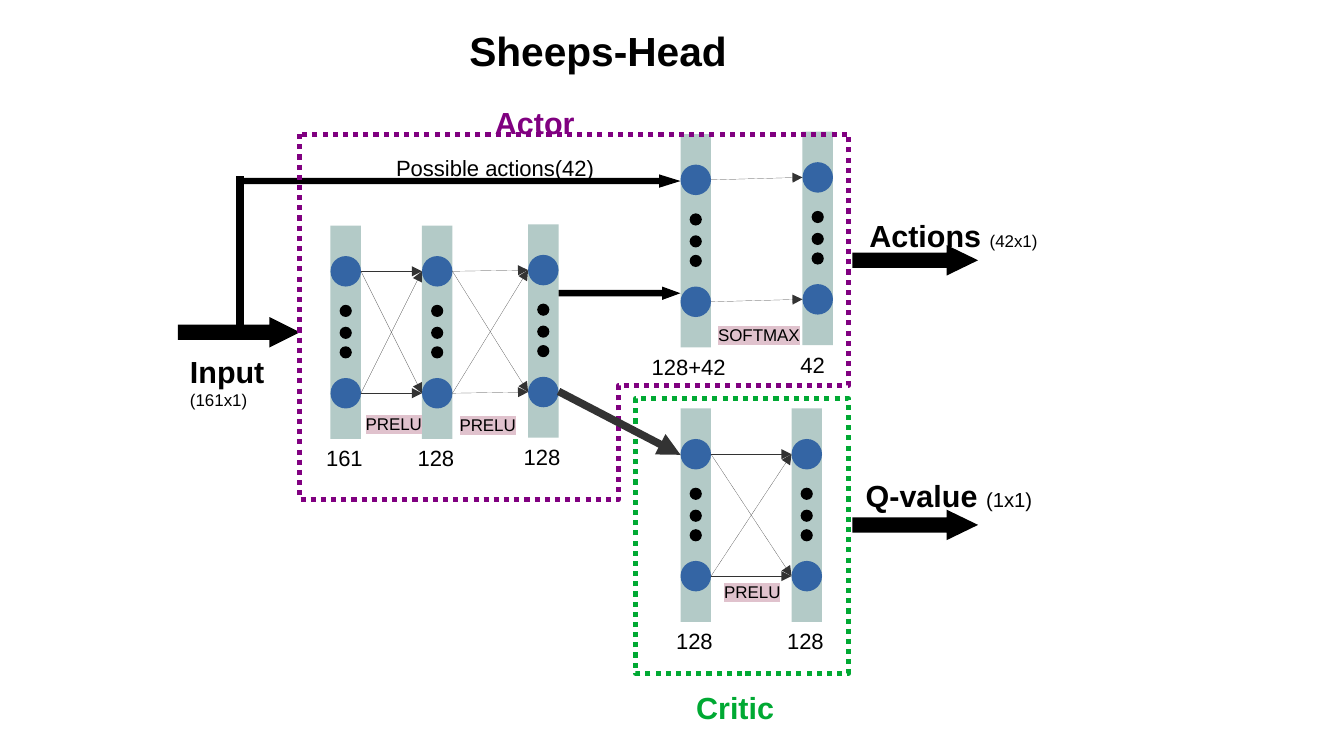
from pptx import Presentation
from pptx.dml.color import RGBColor
from pptx.enum.dml import MSO_LINE
from pptx.enum.shapes import MSO_CONNECTOR, MSO_SHAPE
from pptx.enum.text import MSO_AUTO_SIZE
from pptx.oxml.ns import qn
from pptx.util import Inches, Pt
from lxml.etree import SubElement

FONT = "Arial"
BLACK = RGBColor(0x00, 0x00, 0x00)
WHITE = RGBColor(0xFF, 0xFF, 0xFF)
GRAY = RGBColor(0x33, 0x33, 0x33)
LAYER_GREEN = RGBColor(0xB3, 0xCA, 0xC7)
NODE_BLUE = RGBColor(0x34, 0x65, 0xA4)
ACTOR_PURPLE = RGBColor(0x80, 0x00, 0x80)
CRITIC_GREEN = RGBColor(0x00, 0xA9, 0x33)
ACTIVATION_PINK = RGBColor(0xE0, 0xC2, 0xCD)

LAYER_W, LAYER_H = 0.25, 1.75
NODE_TOPS = (0.25, 1.25)
DOT_TOPS = (0.65, 0.83, 0.99)
DOT = 0.1
HAIRLINE = 0.01


# Basic parts
def add_solid(slide, kind, left, top, width, height, color):
    solid = slide.shapes.add_shape(
        kind, Inches(left), Inches(top), Inches(width), Inches(height))
    solid.shadow.inherit = False
    solid.fill.solid()
    solid.fill.fore_color.rgb = color
    solid.line.fill.background()
    return solid


def add_block_arrow(slide, left, top, width, height, shaft, head):
    arrow = add_solid(slide, MSO_SHAPE.RIGHT_ARROW, left, top, width, height, BLACK)
    arrow.adjustments[0] = shaft
    arrow.adjustments[1] = head


def add_line(slide, start, end, color=GRAY, width=HAIRLINE, arrowhead=True):
    line = slide.shapes.add_connector(
        MSO_CONNECTOR.STRAIGHT, *(Inches(v) for v in (*start, *end)))
    line.line.color.rgb = color
    line.line.width = Pt(width)
    if arrowhead:
        SubElement(line.line._get_or_add_ln(), qn("a:tailEnd"), type="triangle")
    SubElement(line._element.spPr, qn("a:effectLst"))


def add_dotted_outline(frame, color):
    frame.shadow.inherit = False
    frame.line.color.rgb = color
    frame.line.width = Pt(3)
    frame.line.dash_style = MSO_LINE.ROUND_DOT


def style_font(font, size, color, bold):
    font.name = FONT
    font.size = Pt(size)
    font.bold = bold
    font.color.rgb = color


def add_text_frame(slide, left, top, width, height, wrap=True):
    box = slide.shapes.add_textbox(
        Inches(left), Inches(top), Inches(width), Inches(height))
    box.text_frame.word_wrap = wrap
    box.text_frame.auto_size = MSO_AUTO_SIZE.SHAPE_TO_FIT_TEXT
    return box.text_frame


def add_label(slide, text, left, top, width, height, size, color=BLACK,
              bold=False, wrap=True):
    paragraph = add_text_frame(slide, left, top, width, height, wrap).paragraphs[0]
    paragraph.text = text
    style_font(paragraph.font, size, color, bold)
    return paragraph


def add_activation(slide, text, left, top, width=0.66):
    paragraph = add_label(slide, text, left, top, width, 0.25, 10, wrap=False)
    highlight = SubElement(paragraph.runs[0]._r.get_or_add_rPr(), qn("a:highlight"))
    SubElement(highlight, qn("a:srgbClr"), val=str(ACTIVATION_PINK))


# Network layers and the links between them
def add_layer(slide, left, top, units, label_width=0.52):
    add_solid(slide, MSO_SHAPE.RECTANGLE, left, top, LAYER_W, LAYER_H, LAYER_GREEN)
    for node_top in NODE_TOPS:
        add_solid(slide, MSO_SHAPE.OVAL, left, top + node_top,
                  LAYER_W, LAYER_W, NODE_BLUE)
    for dot_top in DOT_TOPS:
        add_solid(slide, MSO_SHAPE.OVAL, left + (LAYER_W - DOT) / 2,
                  top + dot_top, DOT, DOT, BLACK)
    label_left = left + (LAYER_W - label_width) / 2
    add_label(slide, units, label_left, top + LAYER_H,
              label_width, 0.3, 13, wrap=False)
    return left, top


def link_layers(slide, source, target, crossed=True):
    for i, source_node in enumerate(NODE_TOPS):
        for j, target_node in enumerate(NODE_TOPS):
            if crossed or i == j:
                add_line(slide,
                         (source[0] + LAYER_W, source[1] + source_node + LAYER_W / 2),
                         (target[0], target[1] + target_node + LAYER_W / 2))


# Regions
def add_critic(slide, left, top, width, height):
    frame = add_solid(slide, MSO_SHAPE.RECTANGLE, left, top, width, height, WHITE)
    add_dotted_outline(frame, CRITIC_GREEN)
    hidden = add_layer(slide, left + 0.37, top + 0.08, "128")
    value = add_layer(slide, left + 1.28, top + 0.08, "128")
    link_layers(slide, hidden, value)
    add_activation(slide, "PRELU", left + 0.63, top + 1.45)
    add_label(slide, "Critic", left + 0.4, top + 2.33, 1.35, 0.38, 18,
              CRITIC_GREEN, bold=True)


def add_input(slide, left, top):
    add_block_arrow(slide, left, top, 1, 0.25, 0.5, 1)
    caption = add_text_frame(slide, left, top + 0.25, 1, 0.94)
    caption.text = "Input\n(161x1)"
    for paragraph, size, bold in zip(caption.paragraphs, (18, 10), (True, False)):
        style_font(paragraph.font, size, BLACK, bold)
    # Possible actions bypass the hidden layers
    add_line(slide, (left + 0.51, top + 0.09), (left + 0.51, top - 1.16),
             BLACK, 4.5, arrowhead=False)
    add_block_arrow(slide, left + 0.5, top - 1.17, 3.62, 0.11, 0.46, 1.6)
    add_label(slide, "Possible actions(42)", left + 1.69, top - 1.38, 2, 0.5, 13)


def add_actor(slide, left, top, width, height):
    # Shared hidden layers
    first = add_layer(slide, left + 0.25, top + 0.75, "161")
    second = add_layer(slide, left + 1, top + 0.75, "128")
    third = add_layer(slide, left + 1.87, top + 0.74, "128")
    link_layers(slide, first, second)
    link_layers(slide, second, third)
    add_activation(slide, "PRELU", left + 0.44, top + 2.24)
    add_activation(slide, "PRELU", left + 1.21, top + 2.25)

    # Action head
    joined = add_layer(slide, left + 3.12, top, "128+42", 0.92)
    actions = add_layer(slide, left + 4.12, top - 0.02, "42", 0.48)
    link_layers(slide, joined, actions, crossed=False)
    add_activation(slide, "SOFTMAX", left + 3.33, top + 1.51, 0.87)
    add_block_arrow(slide, left + 2.12, top + 1.25, 1, 0.11, 0.49, 1.37)

    # Stepped outline
    step_x, step_y = left + 2.61, top + 2.06
    right, bottom = left + width, top + height
    corners = [(left, bottom), (step_x, bottom), (step_x, step_y),
               (right, step_y), (right, top)]
    outline = slide.shapes.build_freeform(Inches(left), Inches(top))
    outline.add_line_segments([(Inches(x), Inches(y)) for x, y in corners], close=True)
    frame = outline.convert_to_shape()
    frame.fill.background()
    add_dotted_outline(frame, ACTOR_PURPLE)
    add_label(slide, "Actor", left + 1.5, top - 0.3, 1.35, 0.38, 18,
              ACTOR_PURPLE, bold=True)

    # Hand-over to the critic
    add_line(slide, (left + 2.12, top + 2.11), (left + 3.12, top + 2.63), width=4.5)


def add_output(slide, left, top, name, shape, shape_size, label_left, label_top):
    paragraph = add_text_frame(
        slide, left + label_left, top + label_top, 1.75, 0.55).paragraphs[0]
    for text, size, bold in ((name, 18, True), (shape, shape_size, False)):
        run = paragraph.add_run()
        run.text = text
        style_font(run.font, size, BLACK, bold)
    add_block_arrow(slide, left, top, 1.03, 0.25, 0.5, 1.03)


def main():
    presentation = Presentation()
    presentation.slide_width = Inches(11.02)
    presentation.slide_height = Inches(6.2)
    slide = presentation.slides.add_slide(presentation.slide_layouts[6])

    add_label(slide, "Sheeps-Head", 3.75, 0.16, 4.5, 0.84, 24, bold=True)
    add_critic(slide, 5.21, 3.27, 1.75, 2.25)
    add_input(slide, 1.46, 2.6)
    add_actor(slide, 2.46, 1.1, 4.5, 3)
    add_output(slide, 6.99, 2.01, "Actions ", "(42x1)", 10, 0.04, -0.28)
    add_output(slide, 6.99, 4.18, "Q-value ", "(1x1)", 12, 0.01, -0.32)

    presentation.save("out.pptx")


if __name__ == "__main__":
    main()
